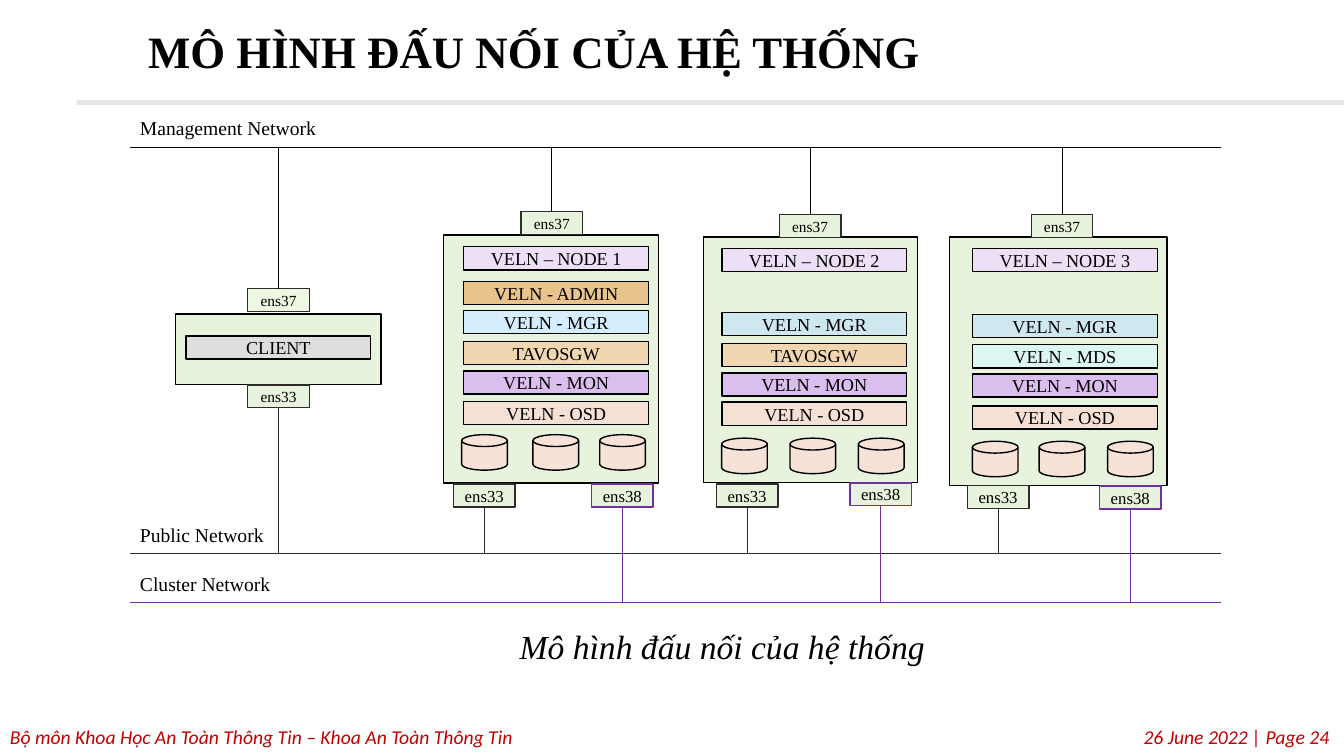
from lxml import etree
from pptx import Presentation
from pptx.dml.color import RGBColor
from pptx.enum import shapes, text
from pptx.oxml import ns
from pptx.util import Pt

# Content: wording
TITLE = "MÔ HÌNH ĐẤU NỐI CỦA HỆ THỐNG"
CAPTION = "Mô hình đấu nối của hệ thống"
FOOTER_LEFT = "Bộ môn Khoa Học An Toàn Thông Tin – Khoa An Toàn Thông Tin"
FOOTER_RIGHT = "26 June 2022 | Page 24"

SERIF, SANS = "Times New Roman", "Calibri"
BLACK, DARK, PURPLE, RED = "000000", "2C2C2C", "7030A0", "C00000"
GREEN, LIGHT_GREEN, DISK = "E7F3DD", "EDF7E1", "F7E2D8"
NAME, BLUE, TEAL = "EDDFF6", "D5EDFC", "CFE7EF"
SAND, VIOLET, PINK = "F0D7B2", "DABEED", "F5E0D6"

# Content: networks as name -> (line y, label top, colour)
NETWORKS = {
    "Management Network": (105.4, 79.2, BLACK),
    "Public Network": (395.3, 370.1, DARK),
    "Cluster Network": (430.6, 404.8, PURPLE),
}

# Content: network card -> (network, outline)
CARDS = {
    "ens37": ("Management Network", DARK),
    "ens33": ("Public Network", DARK),
    "ens38": ("Cluster Network", PURPLE),
}

# Content: machines; services are (label, top, fill),
# ports are (card, left, top, text size, fill)
MACHINES = [
    dict(box=(316.8, 167.8, 153.4, 177.1), service_left=331.2,
         services=[("VELN – NODE 1", 176.2, NAME), ("VELN - ADMIN", 200.9, "E8C48C"),
                   ("VELN - MGR", 221.8, BLUE), ("TAVOSGW", 244, SAND),
                   ("VELN - MON", 265, VIOLET), ("VELN - OSD", 286.6, PINK)],
         disks=[329.8, 380.7, 428.4], disk_top=310.5,
         ports=[("ens37", 372.2, 151.2, 11, GREEN), ("ens33", 324, 345.8, 12, GREEN),
                ("ens38", 422.6, 345.8, 12, GREEN)]),
    dict(box=(502.6, 169.2, 152.6, 175.7), service_left=515.6,
         services=[("VELN – NODE 2", 177.4, NAME), ("VELN - MGR", 223.2, TEAL),
                   ("TAVOSGW", 245.4, SAND), ("VELN - MON", 266.4, VIOLET),
                   ("VELN - OSD", 287.3, PINK)],
         disks=[515.5, 564.3, 613.2], disk_top=313,
         ports=[("ens37", 556.7, 153.3, 11, GREEN), ("ens33", 511.7, 345.8, 12, GREEN),
                ("ens38", 607.1, 344.9, 12, GREEN)]),
    dict(box=(678.2, 169.2, 155.5, 177.5), service_left=694.6,
         services=[("VELN – NODE 3", 177.4, NAME), ("VELN - MGR", 224.6, TEAL),
                   ("VELN - MDS", 246.2, "DCF6F1"), ("VELN - MON", 267.1, VIOLET),
                   ("VELN - OSD", 290, PINK)],
         disks=[694.6, 742.3, 791.2], disk_top=315.2,
         ports=[("ens37", 736.6, 153.3, 11, GREEN), ("ens33", 691, 346.9, 12, GREEN),
                ("ens38", 785.4, 347.2, 12, GREEN)]),
    dict(box=(125.3, 224.4, 146.9, 50.4), service_left=132.8,
         services=[("CLIENT", 240, "DEDEDE")], disks=[], disk_top=0,
         ports=[("ens37", 177, 206.2, 11, LIGHT_GREEN), ("ens33", 177, 275, 11, GREEN)]),
]

SERVICE_W, SERVICE_H = 132, 16.6
PORT_W, PORT_H = 44, 16.3
DISK_W, DISK_H = 32.6, 25.3
NET_LEFT, NET_RIGHT = 92.9, 872

RECT = shapes.MSO_SHAPE.RECTANGLE
DISK_SHAPE = shapes.MSO_SHAPE.FLOWCHART_MAGNETIC_DISK
LEFT, CENTER, RIGHT = text.PP_ALIGN.LEFT, text.PP_ALIGN.CENTER, text.PP_ALIGN.RIGHT


def color(value):
    return RGBColor.from_string(value)


def write(frame, words, size, face=SERIF, ink=BLACK, align=LEFT, bold=False, italic=False):
    frame.text = words
    paragraph = frame.paragraphs[0]
    paragraph.alignment = align
    font = paragraph.runs[0].font
    font.name, font.size, font.bold, font.italic = face, Pt(size), bold, italic
    font.color.rgb = color(ink)


def add_part(kind, left, top, width, height, fill, outline=BLACK, words="", size=13):
    part = slide.shapes.add_shape(kind, Pt(left), Pt(top), Pt(width), Pt(height))
    part.shadow.inherit = False
    part.fill.solid()
    part.fill.fore_color.rgb = color(fill)
    if outline:
        part.line.color.rgb = color(outline)
        part.line.width = Pt(1)
    else:
        part.line.fill.background()
    if words:
        frame = part.text_frame
        frame.margin_top = frame.margin_bottom = 0
        frame.vertical_anchor = text.MSO_ANCHOR.MIDDLE
        write(frame, words, size, align=CENTER)


def add_wire(x1, y1, x2, y2, ink):
    wire = slide.shapes.add_connector(
        shapes.MSO_CONNECTOR.STRAIGHT, Pt(x1), Pt(y1), Pt(x2), Pt(y2))
    wire.line.color.rgb = color(ink)
    wire.line.width = Pt(0.5)
    etree.SubElement(wire.line._get_or_add_ln().getparent(), ns.qn("a:effectLst"))


def add_label(left, top, width, height, words, size, wrap=True, **style):
    label = slide.shapes.add_textbox(Pt(left), Pt(top), Pt(width), Pt(height))
    label.text_frame.word_wrap = wrap
    write(label.text_frame, words, size, **style)


deck = Presentation()
deck.slide_width, deck.slide_height = Pt(960), Pt(540)
slide = deck.slides.add_slide(deck.slide_layouts[5])

# Footer and title rule
footer = dict(face=SANS, ink=RED, italic=True)
add_label(0, 514.1, 960, 24.5, FOOTER_LEFT, 14, **footer)
add_label(0, 514.1, 956.9, 24.5, FOOTER_RIGHT, 14, align=RIGHT, **footer)
add_part(RECT, 54.7, 71.3, 905.3, 3.6, "E7E6E6", outline=None)

# Title
title = slide.shapes.title
title.left, title.top, title.width, title.height = Pt(98.6), Pt(7.6), Pt(861.4), Pt(61.9)
title.text_frame.vertical_anchor = text.MSO_ANCHOR.MIDDLE
title.text_frame.word_wrap = True
write(title.text_frame, TITLE, 32, bold=True)
title.text_frame.paragraphs[0].line_spacing = 0.9

# Networks
for network, (line_y, label_top, ink) in NETWORKS.items():
    add_wire(NET_LEFT, line_y, NET_RIGHT, line_y, ink)
    add_label(NET_LEFT, label_top, 142, 24.5, network, 14, wrap=False)

# Machines with their services, disks and wired ports
for machine in MACHINES:
    add_part(RECT, *machine["box"], GREEN)
    for service, top, fill in machine["services"]:
        add_part(RECT, machine["service_left"], top, SERVICE_W, SERVICE_H, fill, words=service)
    for disk_left in machine["disks"]:
        add_part(DISK_SHAPE, disk_left, machine["disk_top"], DISK_W, DISK_H, DISK)
    for card, left, top, size, fill in machine["ports"]:
        network, outline = CARDS[card]
        line_y, _, ink = NETWORKS[network]
        add_part(RECT, left, top, PORT_W, PORT_H, fill, outline, card, size)
        port_edge = top if line_y < top else top + PORT_H
        center = left + PORT_W / 2
        add_wire(center, port_edge, center, line_y, ink)

# Caption
add_label(305.6, 443.5, 420.5, 36, CAPTION, 24, align=CENTER, italic=True)

deck.save("out.pptx")
